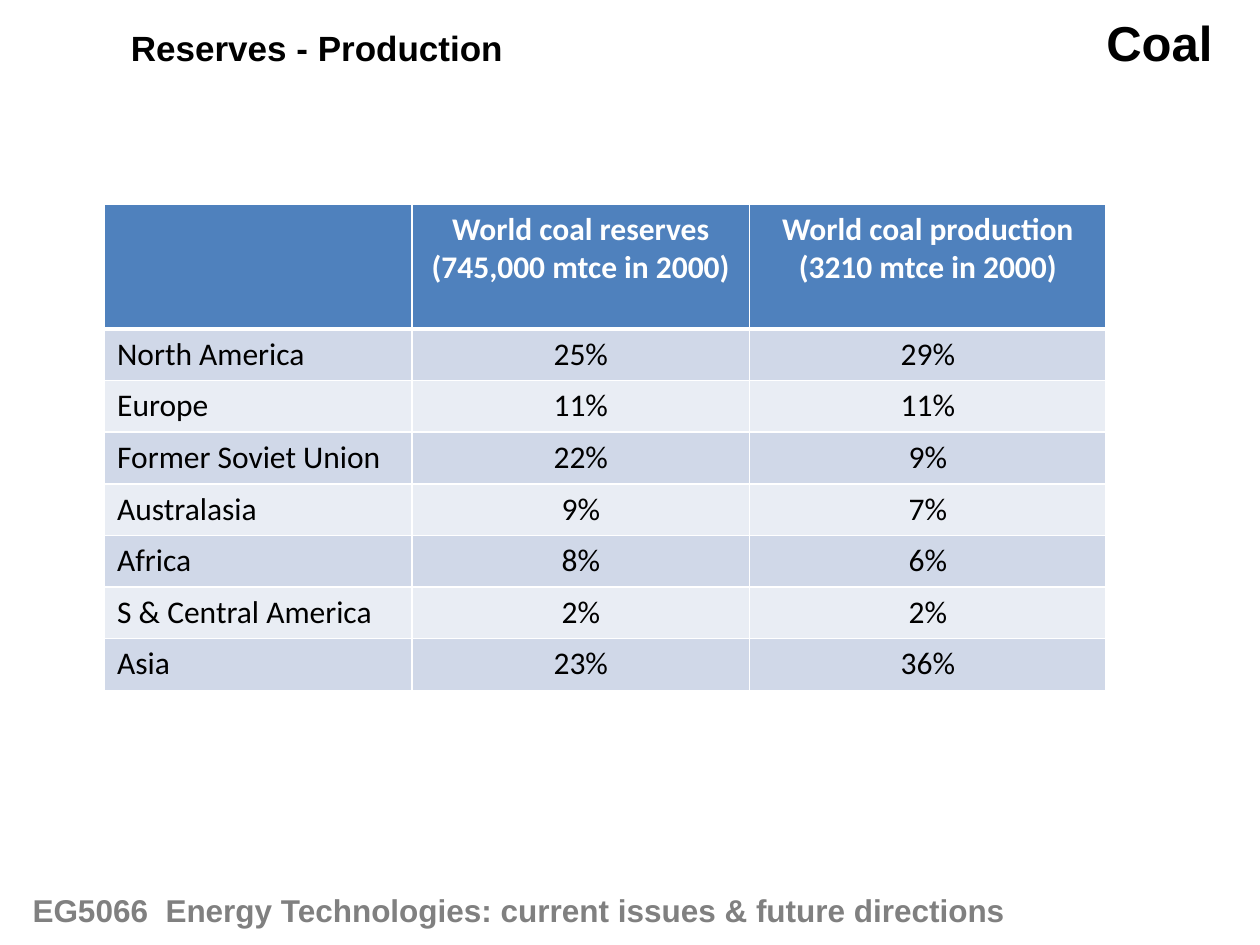
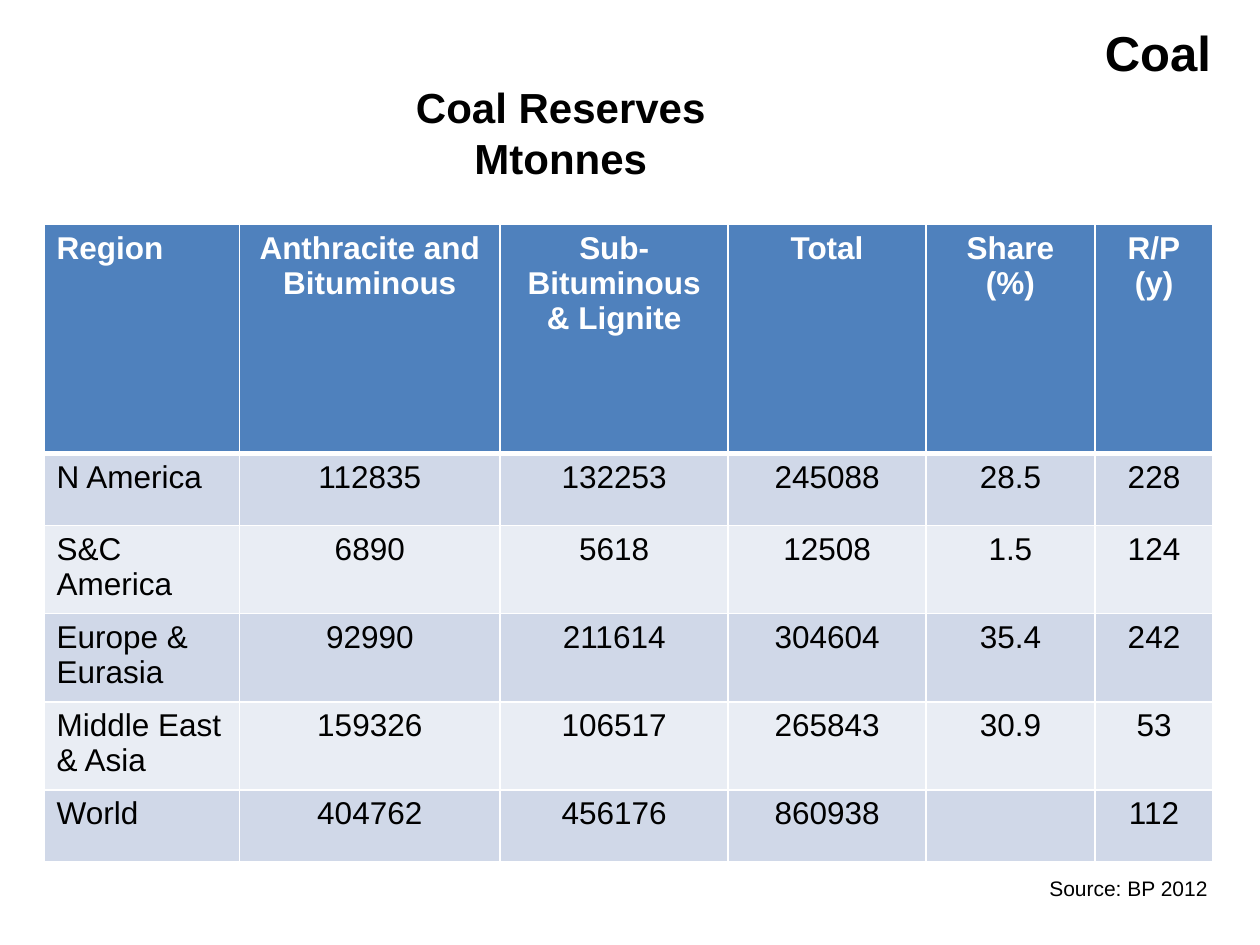
"""Build two slides on coal reserves and production."""
from dataclasses import dataclass

from lxml import etree
from pptx import Presentation
from pptx.dml.color import RGBColor
from pptx.enum.text import MSO_AUTO_SIZE, PP_ALIGN
from pptx.oxml.ns import qn
from pptx.slide import Slide
from pptx.table import _Cell
from pptx.text.text import TextFrame
from pptx.util import Inches, Pt

LEFT, CENTER, RIGHT = PP_ALIGN.LEFT, PP_ALIGN.CENTER, PP_ALIGN.RIGHT
GROW = MSO_AUTO_SIZE.SHAPE_TO_FIT_TEXT

BLACK = RGBColor(0x00, 0x00, 0x00)
WHITE = RGBColor(0xFF, 0xFF, 0xFF)
GREY = RGBColor(0x80, 0x80, 0x80)
HEADER_BLUE = RGBColor(0x4F, 0x81, 0xBD)
BANDS = (RGBColor(0xD0, 0xD8, 0xE8), RGBColor(0xE9, 0xED, 0xF4))

THIN, THICK = Pt(1), Pt(3)
TABLE_SIZE = 18


@dataclass
class Label:
    """A text box with one style throughout."""
    text: str
    left: float
    top: float
    width: float
    height: float
    size: int
    align: PP_ALIGN = LEFT
    color: RGBColor = BLACK
    bold: bool = True
    wrap: bool = False


@dataclass
class DataTable:
    """A banded table with a header row."""
    left: float
    top: float
    font: str
    widths: tuple[float, ...]
    heights: tuple[float, ...]
    rows: tuple[tuple[str, ...], ...]


def coal_title(top: float, align: PP_ALIGN) -> Label:
    """Return the topic title for the top right corner."""
    return Label("Coal", 8.67, top, 1.05, 0.57, 28, align)


PRODUCTION_LABELS = (
    Label("EG5066  Energy Technologies: current issues & future directions",
          0.16, 7.02, 8.59, 0.4, 18, color=GREY, wrap=True),
    coal_title(0.05, RIGHT),
    Label("Reserves - Production", 0.94, 0.16, 3.18, 0.44, 20),
)
PRODUCTION_TABLE = DataTable(
    0.83, 1.62, "Calibri", (2.44, 2.68, 2.83), (0.99,) + (0.41,) * 7,
    (
        ("", "World coal reserves\n(745,000 mtce in 2000)",
         "World coal production\n(3210 mtce in 2000)"),
        ("North America", "25%", "29%"),
        ("Europe", "11%", "11%"),
        ("Former Soviet Union", "22%", "9%"),
        ("Australasia", "9%", "7%"),
        ("Africa", "8%", "6%"),
        ("S & Central America", "2%", "2%"),
        ("Asia", "23%", "36%"),
    ),
)

RESERVES_LABELS = (
    Label("Coal Reserves\nMtonnes", 3.19, 0.6, 2.52, 0.91, 24, CENTER),
    coal_title(0.13, LEFT),
    Label("Source: BP 2012", 8.23, 6.9, 1.47, 0.3, 12, bold=False),
)
RESERVES_TABLE = DataTable(
    0.35, 1.78, "Arial", (1.55, 2.07, 1.81, 1.57, 1.34, 0.94),
    (1.82, 0.57, 0.7, 0.7, 0.7, 0.57),
    (
        ("Region", "Anthracite and Bituminous", "Sub-Bituminous & Lignite",
         "Total", "Share\n(%)", "R/P\n(y)"),
        ("N America", "112835", "132253", "245088", "28.5", "228"),
        ("S&C America", "6890", "5618", "12508", "1.5", "124"),
        ("Europe & Eurasia", "92990", "211614", "304604", "35.4", "242"),
        ("Middle East & Asia", "159326", "106517", "265843", "30.9", "53"),
        ("World", "404762", "456176", "860938", "", "112"),
    ),
)


def style_text(tf: TextFrame, font: str, size: int, color: RGBColor,
               bold: bool, align: PP_ALIGN) -> None:
    """Give every paragraph of a text frame the same look."""
    for p in tf.paragraphs:
        p.alignment = align
        p.font.size = Pt(size)
        for r in p.runs:
            r.font.name = font
            r.font.size = Pt(size)
            r.font.bold = bold
            r.font.color.rgb = color


def add_label(slide: Slide, label: Label) -> None:
    """Draw a text box."""
    box = slide.shapes.add_textbox(Inches(label.left), Inches(label.top),
                                   Inches(label.width), Inches(label.height))
    tf = box.text_frame
    tf.text = label.text
    tf.word_wrap = label.wrap
    tf.auto_size = GROW
    style_text(tf, "Arial", label.size, label.color, label.bold, label.align)


def add_borders(cell: _Cell, top: int, bottom: int) -> None:
    """Outline a cell in white."""
    tc_pr = cell._tc.get_or_add_tcPr()
    sides = {"a:lnL": THIN, "a:lnR": THIN, "a:lnT": top, "a:lnB": bottom}
    for tag, width in sides.items():
        line = etree.SubElement(tc_pr, qn(tag), w=str(int(width)))
        fill = etree.SubElement(line, qn("a:solidFill"))
        etree.SubElement(fill, qn("a:srgbClr"), val=str(WHITE))


def add_data_table(slide: Slide, data: DataTable) -> None:
    """Draw a table with a blue header and alternating bands."""
    table = slide.shapes.add_table(
        len(data.rows), len(data.widths), Inches(data.left), Inches(data.top),
        Inches(sum(data.widths)), Inches(sum(data.heights))).table
    for column, width in zip(table.columns, data.widths):
        column.width = Inches(width)
    for row, height in zip(table.rows, data.heights):
        row.height = Inches(height)
    for i, texts in enumerate(data.rows):
        header = i == 0
        for j, text in enumerate(texts):
            cell = table.cell(i, j)
            add_borders(cell, THICK if i == 1 else THIN,
                        THICK if header else THIN)
            cell.fill.solid()
            cell.fill.fore_color.rgb = HEADER_BLUE if header else BANDS[(i - 1) % 2]
            cell.text_frame.text = text
            style_text(cell.text_frame, data.font, TABLE_SIZE,
                       WHITE if header else BLACK, header,
                       CENTER if j else LEFT)


def main() -> None:
    """Build and save the presentation."""
    prs = Presentation()
    prs.slide_width, prs.slide_height = Inches(10), Inches(7.5)
    for labels, data in ((PRODUCTION_LABELS, PRODUCTION_TABLE),
                         (RESERVES_LABELS, RESERVES_TABLE)):
        slide = prs.slides.add_slide(prs.slide_layouts[6])
        for label in labels:
            add_label(slide, label)
        add_data_table(slide, data)
    prs.save("out.pptx")


if __name__ == "__main__":
    main()
